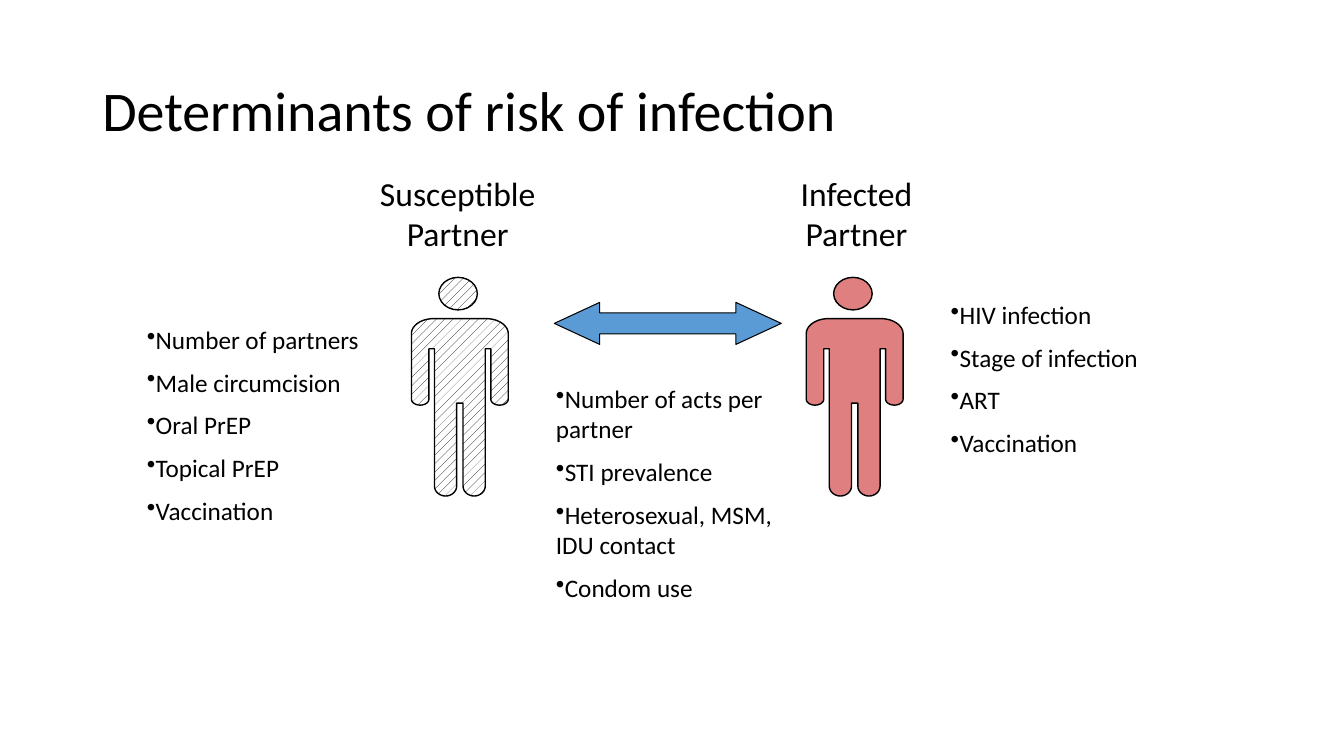
from math import cos, pi, sin

from lxml.etree import SubElement
from pptx import Presentation
from pptx.dml.color import RGBColor
from pptx.enum.dml import MSO_PATTERN
from pptx.enum.shapes import MSO_SHAPE
from pptx.enum.text import MSO_ANCHOR, PP_ALIGN
from pptx.oxml.ns import qn
from pptx.util import Cm, Pt

BLACK = RGBColor(0, 0, 0)
WHITE = RGBColor(255, 255, 255)
BLUE = RGBColor(0x5B, 0x9B, 0xD5)
RED = RGBColor(0xC0, 0, 0)

TITLE = {"size": Pt(40), "line_spacing": 0.9}
PARTNER = {"size": Pt(24), "alignment": PP_ALIGN.CENTER}
FACTOR = {"size": Pt(18), "space_before": Pt(9)}


def set_attributes(target, values):
    for name, value in values.items():
        setattr(target, name, value)


def add_text(slide, box, lines, style, anchor=MSO_ANCHOR.TOP, bullet=None):
    frame = slide.shapes.add_textbox(*map(Cm, box)).text_frame
    set_attributes(frame, {"word_wrap": True, "vertical_anchor": anchor})
    frame.text = "\n".join(lines)
    layout = {name: value for name, value in style.items() if name != "size"}
    font = {"name": "Calibri", "size": style["size"]}
    for paragraph in frame.paragraphs:
        set_attributes(paragraph, layout)
        set_attributes(paragraph.runs[0].font, font)
        paragraph.runs[0].font.color.rgb = BLACK
        if bullet:
            properties = paragraph._p.get_or_add_pPr()
            SubElement(properties, qn("a:buChar"), char=bullet)


def outline(shape, width):
    shape.shadow.inherit = False
    shape.line.color.rgb = BLACK
    shape.line.width = Pt(width)


def fill_hatched(shape):
    shape.fill.patterned()
    shape.fill.pattern = MSO_PATTERN.PERCENT_20
    shape.fill.fore_color.rgb = BLACK
    shape.fill.back_color.rgb = WHITE


def fill_translucent(shape):
    shape.fill.solid()
    shape.fill.fore_color.rgb = RED
    color = shape._element.spPr.find(qn("a:solidFill"))[0]
    SubElement(color, qn("a:alpha"), val="50000")


def arc(center_x, center_y, radius_x, radius_y, start, end, steps=16):
    angles = [(start + (end - start) * step / steps) * pi / 180
              for step in range(steps + 1)]
    return [(center_x + radius_x * cos(angle), center_y + radius_y * sin(angle))
            for angle in angles]


def body_points():
    def hand(x):
        return arc(x, 2.03, 0.22, 0.15, 0, 180)

    def foot(x):
        return arc(x, 4.22, 0.28, 0.25, 0, 180)

    return [
        *arc(1.88, 0.38, 0.56, 0.38, -90, 0),
        *hand(2.22), (2, 0.76), (1.86, 0.76),
        *foot(1.58), (1.3, 2.13), (1.14, 2.13),
        *foot(0.86), (0.58, 0.76), (0.44, 0.76),
        *hand(0.22),
        *arc(0.56, 0.38, 0.56, 0.38, 180, 270),
    ]


def add_person(slide, left, apply_fill):
    group = slide.shapes.add_group_shape()
    points = [(Cm(x), Cm(y)) for x, y in body_points()]
    builder = group.shapes.build_freeform(*points[0])
    builder.add_line_segments(points[1:])
    body = builder.convert_to_shape(Cm(left), Cm(8.03))
    head = group.shapes.add_shape(
        MSO_SHAPE.OVAL, Cm(left + 0.69), Cm(6.99), Cm(0.97), Cm(0.82))
    for shape in (body, head):
        apply_fill(shape)
        outline(shape, 1)


def add_double_arrow(slide, box):
    arrow = slide.shapes.add_shape(MSO_SHAPE.LEFT_RIGHT_ARROW, *map(Cm, box))
    arrow.adjustments[0] = 0.5
    arrow.adjustments[1] = 1.08
    arrow.fill.solid()
    arrow.fill.fore_color.rgb = BLUE
    outline(arrow, 0.75)


def main():
    presentation = Presentation()
    set_attributes(presentation,
                   {"slide_width": Cm(33.87), "slide_height": Cm(19.05)})
    slide = presentation.slides.add_slide(presentation.slide_layouts[6])

    add_text(slide, (2.33, 1.01, 29.21, 3.68),
             ["Determinants of risk of infection"], TITLE, MSO_ANCHOR.MIDDLE)
    add_text(slide, (8.89, 4.23, 5.29, 2.31), ["Susceptible Partner"], PARTNER)
    add_text(slide, (19.47, 4.23, 4.23, 2.31), ["Infected Partner"], PARTNER)

    add_double_arrow(slide, (13.97, 7.62, 5.72, 1.06))
    add_person(slide, 10.37, fill_hatched)
    add_person(slide, 20.32, fill_translucent)

    factors = [
        ((3.45, 8.04, 6.5, 5.64),
         ["Number of partners", "Male circumcision", "Oral PrEP",
          "Topical PrEP", "Vaccination"]),
        ((23.71, 7.41, 5.5, 4.49),
         ["HIV infection", "Stage of infection", "ART", "Vaccination"]),
        ((13.76, 9.53, 6.17, 8.71),
         ["Number of acts per partner", "STI prevalence",
          "Heterosexual, MSM, IDU contact", "Condom use"]),
    ]
    for box, lines in factors:
        add_text(slide, box, lines, FACTOR, bullet="•")

    presentation.save("out.pptx")


if __name__ == "__main__":
    main()
